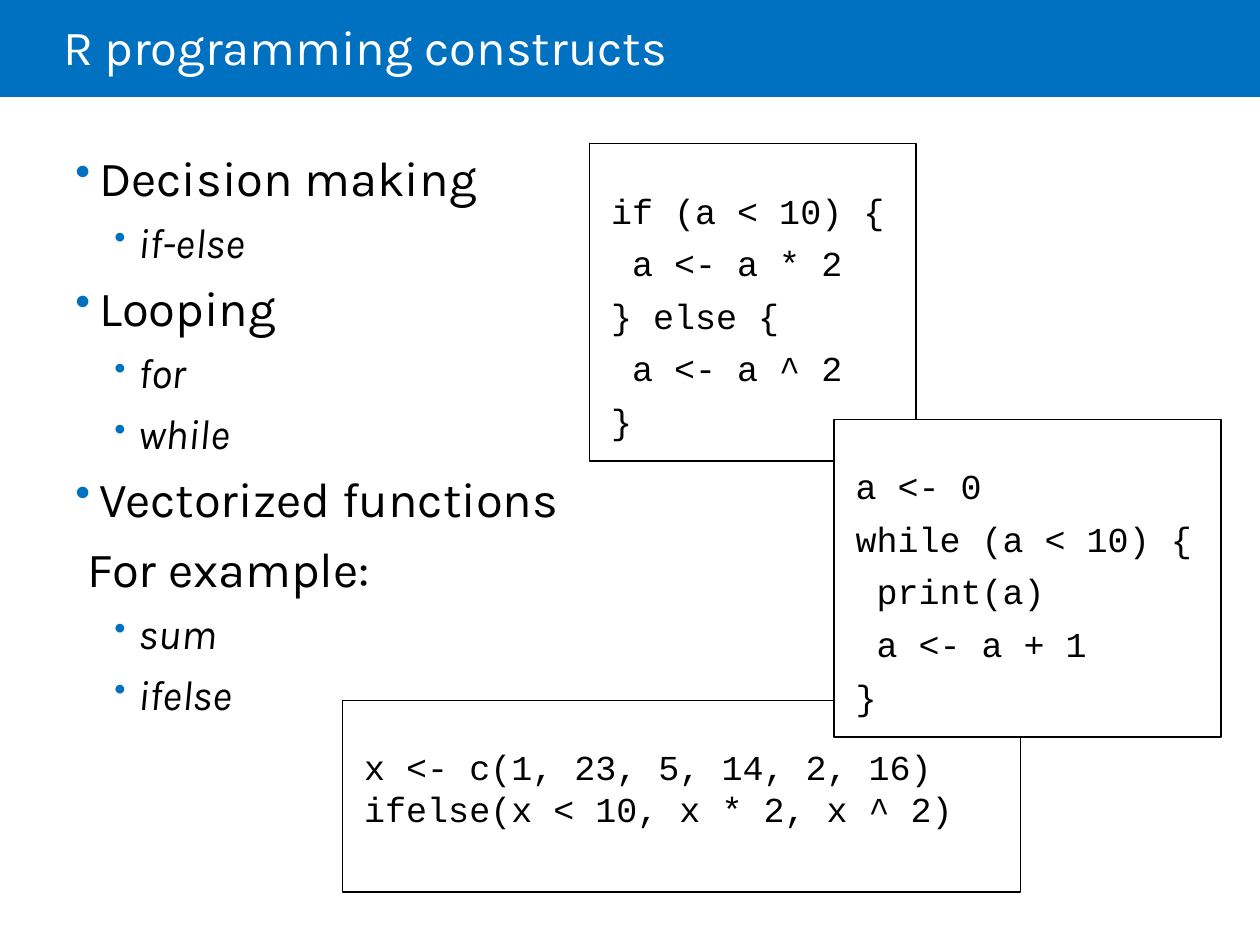
"""Build a slide on R programming constructs with three code examples."""
from dataclasses import dataclass

from lxml import etree
from pptx import Presentation
from pptx.dml.color import RGBColor
from pptx.enum import shapes, text
from pptx.oxml.ns import qn
from pptx.util import Inches, Pt


@dataclass(frozen=True)
class Theme:
    blue: str = "0070C0"
    black: str = "000000"
    white: str = "FFFFFF"
    sans: str = "Karla"
    mono: str = "Courier New"
    heading: int = 28
    detail: int = 24
    code: int = 20
    code_line: int = 24
    gap: int = 6


@dataclass(frozen=True)
class Topic:
    words: str
    details: tuple[str, ...] = ()
    bullet: bool = True


@dataclass(frozen=True)
class CodeBox:
    left: float
    top: float
    width: float
    height: float
    lines: tuple[str, ...]
    gap: int = 0
    filled: bool = True


THEME = Theme()

TOPICS = (
    Topic("Decision making", ("if-else",)),
    Topic("Looping", ("for", "while")),
    Topic("Vectorized functions"),
    Topic("For example:", ("sum", "ifelse"), bullet=False),
)

CODE_BOXES = (
    CodeBox(4.68, 1.14, 2.59, 2.52,
            ("if (a < 10) {", " a <- a * 2", "} else {", " a <- a ^ 2", "}"),
            gap=THEME.gap, filled=False),
    CodeBox(2.72, 5.56, 5.38, 1.52,
            ("x <- c(1, 23, 5, 14, 2, 16)", "ifelse(x < 10, x * 2, x ^ 2)")),
    CodeBox(6.62, 3.33, 3.07, 2.52,
            ("a <- 0", "while (a < 10) {", " print(a)", " a <- a + 1", "}"),
            gap=THEME.gap),
)


def set_insets(frame, left: float, top: float, right: float, bottom: float) -> None:
    """Set the four inner margins of a text frame in inches."""
    frame.margin_left, frame.margin_top = Inches(left), Inches(top)
    frame.margin_right, frame.margin_bottom = Inches(right), Inches(bottom)


def write(frame, words: str, *, size: int, font: str = THEME.sans,
          color: str = THEME.black, italic: bool = False, level: int = 0,
          gap: int = 0, line=None):
    """Write one formatted paragraph, reusing an empty first one."""
    first = frame.paragraphs[0]
    para = first if not first.runs else frame.add_paragraph()
    para.alignment = text.PP_ALIGN.LEFT
    para.level = level
    para.space_before = Pt(gap)
    if line is not None:
        para.line_spacing = line
    span = para.add_run()
    span.text = words
    span.font.name, span.font.size = font, Pt(size)
    span.font.italic = italic
    span.font.color.rgb = RGBColor.from_string(color)
    return para


def indent(para, margin: float, *, hanging: float = 0, bullet_size: int = 0) -> None:
    """Indent a paragraph and give it a blue bullet if a bullet size is set."""
    props = para._p.get_or_add_pPr()
    props.set("marL", str(Inches(margin)))
    props.set("indent", str(-Inches(hanging)))
    if bullet_size:
        color = etree.SubElement(props, qn("a:buClr"))
        etree.SubElement(color, qn("a:srgbClr"), val=THEME.blue)
        etree.SubElement(props, qn("a:buSzPct"), val=str(bullet_size * 1000))
        etree.SubElement(props, qn("a:buChar"), char="•")


def add_rectangle(page, left: float, top: float, width: float, height: float):
    """Add a rectangle without shadow, fill or line."""
    box = page.shapes.add_shape(shapes.MSO_SHAPE.RECTANGLE, Inches(left),
                                Inches(top), Inches(width), Inches(height))
    box.shadow.inherit = False
    box.fill.background()
    box.line.fill.background()
    return box


def fill(box, color: str) -> None:
    """Fill a shape with one colour."""
    box.fill.solid()
    box.fill.fore_color.rgb = RGBColor.from_string(color)


def draw_title(page, words: str) -> None:
    """Draw the blue band with the title on top of it."""
    band = add_rectangle(page, 0, 0, 10, 0.77)
    fill(band, THEME.blue)
    title = page.shapes.title
    title._element.addprevious(band._element)
    title.left, title.top = Inches(0.5), Inches(0)
    title.width, title.height = Inches(8.5), Inches(0.81)
    frame = title.text_frame
    frame.auto_size = text.MSO_AUTO_SIZE.NONE
    frame.vertical_anchor = text.MSO_ANCHOR.MIDDLE
    set_insets(frame, 0, 0.05, 0.1, 0.05)
    write(frame, words, size=THEME.heading, color=THEME.white, line=0.85)


def draw_topics(page, topics: tuple[Topic, ...]) -> None:
    """Draw the bulleted list of topics and their details."""
    box = page.shapes.add_textbox(Inches(0.5), Inches(1.12), Inches(4.43), Inches(5.63))
    frame = box.text_frame
    frame.word_wrap = True
    for topic in topics:
        para = write(frame, topic.words, size=THEME.heading, gap=THEME.gap)
        if topic.bullet:
            indent(para, 0.19, hanging=0.19, bullet_size=90)
        else:
            indent(para, 0.1)
        for detail in topic.details:
            para = write(frame, detail, size=THEME.detail, italic=True,
                         level=1, gap=THEME.gap)
            indent(para, 0.5, hanging=0.19, bullet_size=80)


def draw_code(page, code: CodeBox) -> None:
    """Draw one outlined box of code."""
    box = add_rectangle(page, code.left, code.top, code.width, code.height)
    if code.filled:
        fill(box, THEME.white)
    box.line.color.rgb = RGBColor.from_string(THEME.black)
    box.line.width = Pt(0.75)
    frame = box.text_frame
    frame.word_wrap = True
    frame.vertical_anchor = text.MSO_ANCHOR.TOP
    set_insets(frame, 0.17, 0.36, 0, 0)
    for words in code.lines:
        write(frame, words, size=THEME.code, font=THEME.mono, gap=code.gap,
              line=Pt(THEME.code_line))


def main() -> None:
    """Build and save the deck."""
    deck = Presentation()
    deck.slide_width, deck.slide_height = Inches(10), Inches(7.5)
    page = deck.slides.add_slide(deck.slide_layouts.get_by_name("Title Only"))
    draw_title(page, "R programming constructs")
    draw_topics(page, TOPICS)
    for code in CODE_BOXES:
        draw_code(page, code)
    deck.save("out.pptx")


if __name__ == "__main__":
    main()
